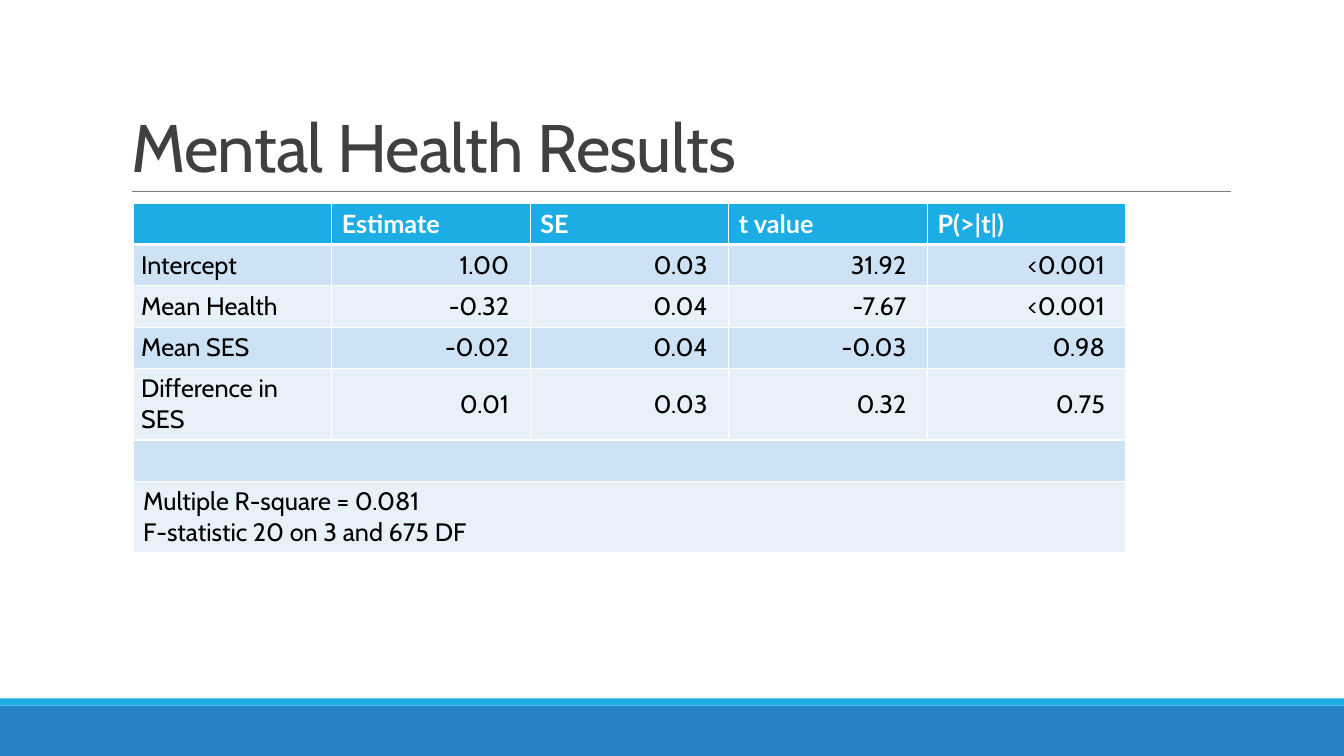
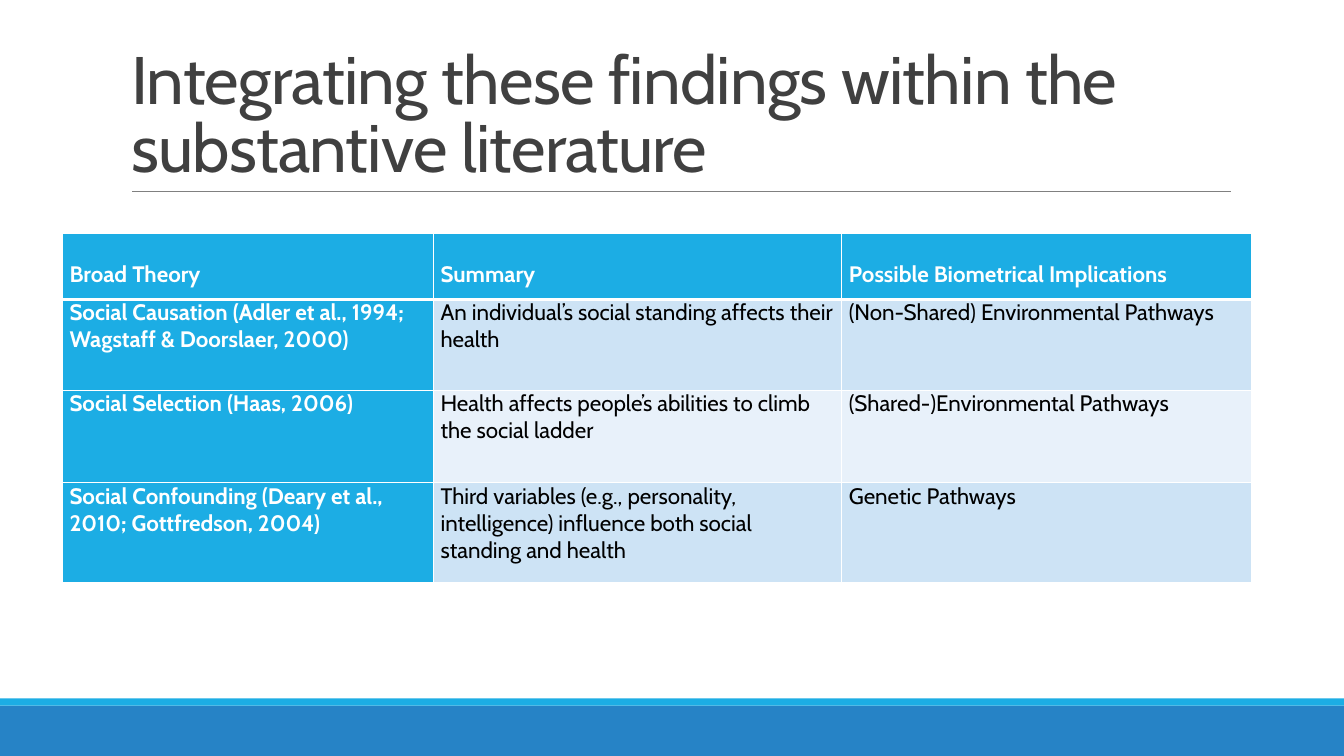
from lxml import etree
from pptx import Presentation
from pptx import util as u
from pptx.dml.color import RGBColor
from pptx.enum import shapes, text
from pptx.oxml.ns import qn

NAVY, BLUE, WHITE, BLACK = "2683C6", "1CADE4", "FFFFFF", "000000"
TITLE_GREY, RULE_GREY = "404040", "808080"
STRIPES = ("CDE3F5", "E8F1FA")
LEFT, RIGHT = text.PP_ALIGN.LEFT, text.PP_ALIGN.RIGHT
TOP, MIDDLE = text.MSO_ANCHOR.TOP, text.MSO_ANCHOR.MIDDLE


def color(value):
    return RGBColor.from_string(value)


def apply(target, values):
    for name, value in values.items():
        setattr(target, name, value)


def margins(left, top, right, bottom):
    return {"margin_left": u.Inches(left), "margin_top": u.Inches(top),
            "margin_right": u.Inches(right), "margin_bottom": u.Inches(bottom)}


def cell_format(cell, font, ink, alignment=LEFT, spacing=1.0):
    """Group the format values of a cell, its paragraphs and its text."""
    return {"cell": cell, "para": {"alignment": alignment, "line_spacing": spacing},
            "font": font, "ink": ink}


class Deck:
    """Holds the shared style and the slide being built."""

    width, height = 13.33, 7.5
    title_font = {"name": "Cabin", "size": u.Pt(48), "bold": False}

    def __init__(self):
        self.deck = Presentation()
        self.deck.slide_width = u.Inches(self.width)
        self.deck.slide_height = u.Inches(self.height)
        self.page = None

    def add_page(self, title):
        self.page = self.deck.slides.add_slide(self.deck.slide_layouts[5])
        self.add_band(7, 0.5, NAVY)
        self.add_band(6.93, 0.07, BLUE)
        self.add_rule(1.31, 12.21, 1.9)
        self.set_title(title)

    def add_band(self, top, height, fill):
        band = self.page.shapes.add_shape(
            shapes.MSO_SHAPE.RECTANGLE, 0, u.Inches(top),
            u.Inches(self.width), u.Inches(height))
        band.shadow.inherit = False
        band.fill.solid()
        band.fill.fore_color.rgb = color(fill)
        band.line.fill.background()

    def add_rule(self, left, right, top):
        rule = self.page.shapes.add_connector(
            shapes.MSO_CONNECTOR.STRAIGHT, u.Inches(left), u.Inches(top),
            u.Inches(right), u.Inches(top))
        rule.line.color.rgb = color(RULE_GREY)
        rule.line.width = u.Pt(0.5)
        etree.SubElement(rule.element.spPr, qn("a:effectLst"))

    def set_title(self, title):
        box = self.page.shapes.title
        apply(box, {"left": u.Inches(1.2), "top": u.Inches(0.31),
                    "width": u.Inches(11), "height": u.Inches(1.59)})
        apply(box.text_frame, {"word_wrap": True,
                               "auto_size": text.MSO_AUTO_SIZE.NONE,
                               "vertical_anchor": text.MSO_ANCHOR.BOTTOM})
        para = box.text_frame.paragraphs[0]
        apply(para, {"alignment": LEFT, "line_spacing": 0.85})
        span = para.add_run()
        span.text = title
        apply(span.font, self.title_font)
        span.font.color.rgb = color(TITLE_GREY)
        span.font._element.set("spc", "-50")

    def add_table(self, left, top, widths, heights, rows, header, first, body, note=None):
        """A row with a single entry spans the whole table in the note format."""
        table = self.page.shapes.add_table(
            len(rows), len(widths), u.Inches(left), u.Inches(top),
            u.Inches(sum(widths)), u.Inches(sum(heights))).table
        for column, width in zip(table.columns, widths):
            column.width = u.Inches(width)
        for row, height in zip(table.rows, heights):
            row.height = u.Inches(height)
        for r, words in enumerate(rows):
            if len(words) == 1:
                table.cell(r, 0).merge(table.cell(r, len(widths) - 1))
            for c in range(len(widths)):
                if r == 0:
                    style = header
                elif len(words) == 1:
                    style = note
                else:
                    style = body if c else first
                solid = r == 0 or (c == 0 and style["ink"] == WHITE)
                fill = BLUE if solid else STRIPES[(r - 1) % 2]
                cell = table.cell(r, c)
                self.set_borders(cell, is_header=r == 0)
                cell.fill.solid()
                cell.fill.fore_color.rgb = color(fill)
                self.fill_cell(cell, words[c] if c < len(words) else "", style)

    def set_borders(self, cell, is_header):
        edges = {"lnL": 1, "lnR": 1, "lnB": 1}
        if is_header:
            edges = {"lnL": 1, "lnR": 1, "lnT": 1, "lnB": 3}
        properties = cell._tc.get_or_add_tcPr()
        for edge, points in edges.items():
            line = etree.SubElement(properties, qn(f"a:{edge}"), w=str(u.Pt(points)))
            fill = etree.SubElement(line, qn("a:solidFill"))
            etree.SubElement(fill, qn("a:srgbClr"), val=WHITE)

    def fill_cell(self, cell, words, style):
        apply(cell, style["cell"])
        if not words:
            return
        for i, line in enumerate(words.split("\n")):
            frame = cell.text_frame
            para = frame.add_paragraph() if i else frame.paragraphs[0]
            apply(para, style["para"])
            span = para.add_run()
            span.text = line
            apply(span.font, style["font"])
            span.font.color.rgb = color(style["ink"])


def add_results(deck):
    deck.add_page("Mental Health Results")
    rows = [
        ("", "Estimate", "SE", "t value", "P(>|t|)"),
        ("Intercept", "1.00", "0.03", "31.92", "<0.001"),
        ("Mean Health", "-0.32", "0.04", "-7.67", "<0.001"),
        ("Mean SES", "-0.02", "0.04", "-0.03", "0.98"),
        ("Difference in SES", "0.01", "0.03", "0.32", "0.75"),
        ("",),
        ("Multiple R-square = 0.081\nF-statistic 20 on 3 and 675 DF",),
    ]
    plain = {"name": "Cabin", "size": u.Pt(18), "bold": False}
    heading = {"name": "Lato", "size": u.Pt(18), "bold": True}
    default = {**margins(0.1, 0.05, 0.1, 0.05), "vertical_anchor": TOP}
    middle = {**margins(0.08, 0.05, 0.21, 0.05), "vertical_anchor": MIDDLE}
    deck.add_table(
        1.32, 2.02, [1.97] * 5, [0.4, 0.41, 0.41, 0.41, 0.71, 0.41, 0.71], rows,
        header=cell_format(default, heading, WHITE),
        first=cell_format(middle, plain, BLACK),
        body=cell_format(middle, plain, BLACK, RIGHT),
        note=cell_format(default, plain, BLACK))


def add_theories(deck):
    deck.add_page("Integrating these findings within the substantive literature")
    rows = [
        ("Broad Theory", "Summary", "Possible Biometrical Implications"),
        ("Social Causation (Adler et al., 1994; Wagstaff & Doorslaer, 2000)",
         "An individual’s social standing affects their health",
         "(Non-Shared) Environmental Pathways"),
        ("Social Selection (Haas, 2006)",
         "Health affects people’s abilities to climb the social ladder",
         "(Shared-)Environmental Pathways"),
        ("Social Confounding (Deary et al., 2010; Gottfredson, 2004)",
         "Third variables (e.g., personality, intelligence) influence both "
         "social standing and health",
         "Genetic Pathways"),
    ]
    plain = {"name": "Cabin", "size": u.Pt(16), "bold": False}
    bold = {**plain, "bold": True}
    tight = {**margins(0.07, 0, 0.07, 0), "vertical_anchor": TOP}
    deck.add_table(
        0.62, 2.32, [3.68, 4.05, 4.06], [0.65, 0.9, 0.92, 0.99], rows,
        header=cell_format(tight, bold, WHITE, spacing=2.0),
        first=cell_format(tight, bold, WHITE),
        body=cell_format(tight, plain, BLACK))


def main():
    deck = Deck()
    add_results(deck)
    add_theories(deck)
    deck.deck.save("out.pptx")


if __name__ == "__main__":
    main()
